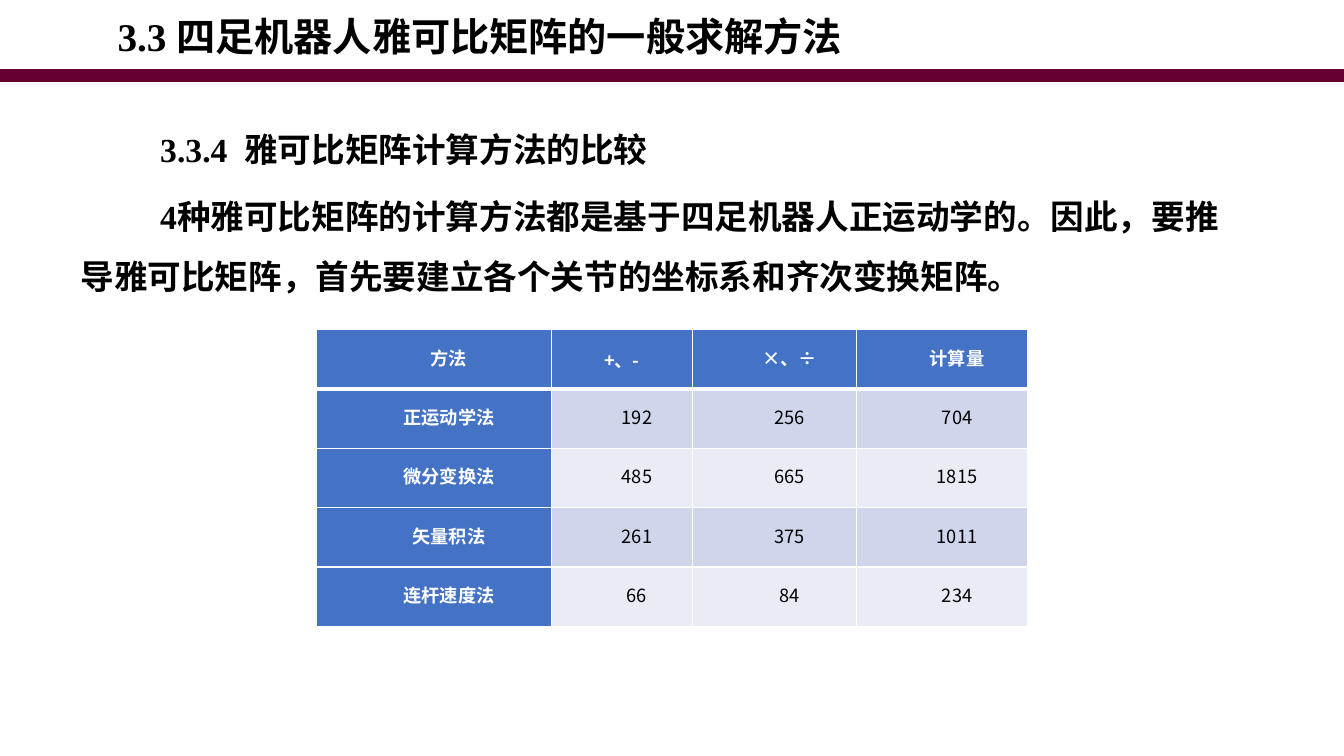
from dataclasses import dataclass

from lxml import etree
from pptx import Presentation
from pptx import util as u
from pptx.dml.color import RGBColor
from pptx.enum import shapes, text
from pptx.oxml.ns import qn


@dataclass
class Theme:
    ink: str = "000000"
    white: str = "FFFFFF"
    wine: str = "660033"
    blue: str = "4472C4"
    bands: tuple = ("CFD5EA", "E9EBF5")
    serif: str = "Times New Roman"
    sans: str = "Noto Sans CJK SC"
    title: int = 28
    body: int = 24
    cell: int = 13


class Deck:
    def __init__(self, theme):
        self.theme = theme
        self.prs = Presentation()
        self.prs.slide_width = u.Pt(960)
        self.prs.slide_height = u.Pt(540)
        self.slide = self.prs.slides.add_slide(self.prs.slide_layouts[6])

    def run(self, para, words, size, color, bold, font):
        run = para.add_run()
        run.text = words
        run.font.size = u.Pt(size)
        run.font.bold = bold
        run.font.color.rgb = RGBColor.from_string(color)
        run.font.name = font
        props = run.font._element
        props.set("lang", "zh-CN")
        etree.SubElement(props, qn("a:ea"), typeface=self.theme.sans)

    def indent(self, para, size):
        para._p.get_or_add_pPr().set("indent", str(u.Pt(size)))

    def rule(self, y, width, color):
        line = self.slide.shapes.add_connector(
            shapes.MSO_CONNECTOR.STRAIGHT, 0, u.Pt(y), u.Pt(960), u.Pt(y))
        line.line.color.rgb = RGBColor.from_string(color)
        line.line.width = u.Pt(width)
        etree.SubElement(line._element.spPr, qn("a:effectLst"))

    def box(self, area, paras, size, indent=0, pitch=None, gap=0,
            anchor=text.MSO_ANCHOR.TOP):
        frame = self.slide.shapes.add_textbox(*map(u.Pt, area)).text_frame
        frame.word_wrap = True
        frame.vertical_anchor = anchor
        for i, words in enumerate(paras):
            para = frame.add_paragraph() if i else frame.paragraphs[0]
            self.indent(para, indent)
            if pitch:
                para.line_spacing = u.Pt(pitch)
            para.space_before = u.Pt(gap if i else 0)
            self.run(para, words, size, self.theme.ink, True, self.theme.serif)

    def edge(self, cell, side, width):
        line = etree.SubElement(cell._tc.get_or_add_tcPr(), qn("a:ln" + side),
                                w=str(u.Pt(width)))
        fill = etree.SubElement(line, qn("a:solidFill"))
        etree.SubElement(fill, qn("a:srgbClr"), val=self.theme.white)

    def cell(self, cell, words, row, col):
        theme = self.theme
        head = row == 0 or col == 0
        for side in "LRTB":
            thick = (row, side) in ((0, "B"), (1, "T"))
            self.edge(cell, side, 3 if thick else 1)
        cell.fill.solid()
        cell.fill.fore_color.rgb = RGBColor.from_string(
            theme.blue if head else theme.bands[(row - 1) % 2])
        cell.margin_left = cell.margin_right = u.Pt(5)
        cell.margin_top = cell.margin_bottom = 0
        cell.vertical_anchor = text.MSO_ANCHOR.MIDDLE
        para = cell.text_frame.paragraphs[0]
        para.alignment = text.PP_ALIGN.CENTER
        # The plus and minus heading alone is set without indent
        if (row, col) != (0, 1):
            self.indent(para, 21.6)
            para.line_spacing = u.Pt(15.9)
        self.run(para, words, theme.cell, theme.white if head else theme.ink,
                 head, theme.sans)

    def table(self, left, top, widths, height, rows):
        grid = self.slide.shapes.add_table(
            len(rows), len(widths), u.Pt(left), u.Pt(top),
            u.Pt(sum(widths)), u.Pt(height * len(rows))).table
        for col, width in zip(grid.columns, widths):
            col.width = u.Pt(width)
        for r, row in enumerate(rows):
            grid.rows[r].height = u.Pt(height)
            for c, words in enumerate(row):
                self.cell(grid.cell(r, c), words, r, c)


def main():
    theme = Theme()
    deck = Deck(theme)

    # Heading and rule
    deck.rule(54, 9, theme.wine)
    deck.box((77, 6.5, 714, 37.5), ["3.3 四足机器人雅可比矩阵的一般求解方法"],
             theme.title, anchor=text.MSO_ANCHOR.MIDDLE)

    # Section text
    deck.box((50.4, 74.5, 834, 351),
             ["3.3.4  雅可比矩阵计算方法的比较",
              "4种雅可比矩阵的计算方法都是基于四足机器人正运动学的。"
              "因此，要推导雅可比矩阵，首先要建立各个关节的坐标系和齐次变换矩阵。"],
             theme.body, indent=57, pitch=43, gap=4.8)

    # Cost of each method
    deck.table(226, 235.5, (167.8, 100.8, 117.4, 121.7), 42.4, [
        ("方法", "+、-", "×、÷", "计算量"),
        ("正运动学法", "192", "256", "704"),
        ("微分变换法", "485", "665", "1815"),
        ("矢量积法", "261", "375", "1011"),
        ("连杆速度法", "66", "84", "234"),
    ])

    deck.prs.save("out.pptx")


if __name__ == "__main__":
    main()
